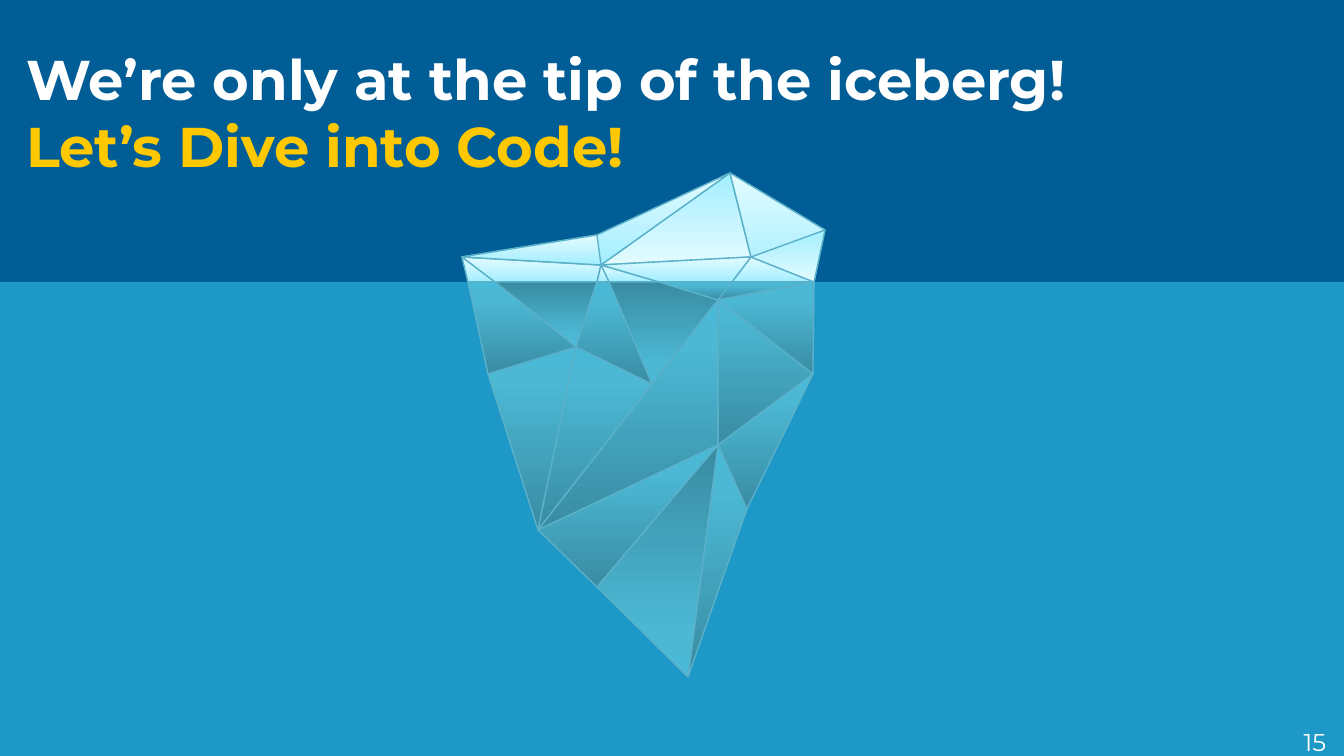
from lxml import etree
from pptx import Presentation
from pptx import util as u
from pptx.dml.color import RGBColor
from pptx.enum import shapes, text
from pptx.oxml import ns

SCALE = 914400 / 134.4  # EMU per px
WIDTH, HEIGHT = 1344, 756
WATERLINE = 282
INSET = 13

WHITE = RGBColor(0xFF, 0xFF, 0xFF)
YELLOW = RGBColor(0xFF, 0xC8, 0x00)
SKY = RGBColor(0x00, 0x5D, 0x95)
WATER = RGBColor(0x1D, 0x98, 0xC7)
EDGE = RGBColor(0x5A, 0xB1, 0xC9)
ICE = [(0, RGBColor(0xA1, 0xEF, 0xFF)), (35, RGBColor(0xBB, 0xF2, 0xFF)),
       (100, RGBColor(0xE3, 0xFC, 0xFF))]
DEEP = [(0, RGBColor(0x39, 0x8B, 0xA2)), (80, RGBColor(0x4C, 0xB8, 0xD4)),
        (100, RGBColor(0x4A, 0xB9, 0xD8))]
DOWN, UP = 90, 270  # gradient directions, clockwise degrees

CORNERS = {
    "peak": (730, 173), "shoulder": (825, 230), "tip": (462, 257),
    "ledge": (597, 235), "ridge": (601, 265), "saddle": (751, 257),
    "w1": (468, WATERLINE), "w2": (495, WATERLINE), "w3": (597, WATERLINE),
    "w4": (609, WATERLINE), "w5": (659, WATERLINE), "w6": (732, WATERLINE),
    "w7": (814, WATERLINE),
    "front": (718, 300), "west": (576, 347), "left": (488, 374),
    "middle": (652, 384), "right": (813, 374), "heart": (718, 445),
    "hip": (538, 530), "flank": (747, 509), "knee": (597, 587),
    "bottom": (688, 677),
}

# Facets from back to front: colours, gradient direction, corners
FACETS = [
    (ICE, UP, "w7 tip w2"),
    (ICE, DOWN, "peak ridge saddle"),
    (ICE, UP, "peak shoulder w7 saddle"),
    (ICE, UP, "tip w2 w1"),
    (ICE, UP, "ridge w3 w2 tip"),
    (ICE, UP, "peak ridge tip ledge"),
    (ICE, UP, "saddle w7 w6"),
    (ICE, UP, "w4 ridge w5"),
    (ICE, UP, "ledge ridge tip"),
    (ICE, DOWN, "shoulder saddle w7"),
    (ICE, UP, "w4 ridge w3"),
    (DEEP, UP, "w7 right heart front"),
    (DEEP, UP, "west hip left"),
    (DEEP, DOWN, "w3 west w2"),
    (DEEP, UP, "heart flank bottom"),
    (DEEP, UP, "w7 front w6"),
    (DEEP, DOWN, "middle w4 w5 front"),
    (DEEP, UP, "middle west hip"),
    (DEEP, UP, "front hip heart"),
    (DEEP, UP, "w2 west left w1"),
    (DEEP, UP, "w7 front right"),
    (DEEP, UP, "west middle w4 w3"),
    (DEEP, UP, "hip heart knee"),
    (DEEP, DOWN, "knee bottom heart"),
    (DEEP, UP, "right flank heart"),
    (ICE, UP, "ridge saddle w6 w5"),
    (DEEP, UP, "front w6 w5"),
]


def px(length):
    return u.Emu(round(length * SCALE))


class SlideBuilder:
    """Holds the style and the current slide."""

    font_name = "Montserrat"

    def __init__(self, presentation):
        self.slide = presentation.slides.add_slide(presentation.slide_layouts[5])

    def background(self, color):
        fill = self.slide.background.fill
        fill.solid()
        fill.fore_color.rgb = color

    def set_text(self, shape, parts, size, bold, alignment):
        """Fill the shape with one paragraph of (wording, color) parts."""
        frame = shape.text_frame
        frame.word_wrap = True
        frame.auto_size = text.MSO_AUTO_SIZE.NONE
        frame.vertical_anchor = text.MSO_ANCHOR.TOP
        frame.margin_left = frame.margin_right = px(INSET)
        frame.margin_top = frame.margin_bottom = px(INSET)
        paragraph = frame.paragraphs[0]
        paragraph.alignment = alignment
        for wording, color in parts:
            run = paragraph.add_run()
            run.text = wording
            run.font.name = self.font_name
            run.font.size = u.Pt(size)
            run.font.bold = bold
            run.font.color.rgb = color

    def title(self, left, top, width, height, parts):
        shape = self.slide.shapes.title
        shape.left, shape.top = px(left), px(top)
        shape.width, shape.height = px(width), px(height)
        self.set_text(shape, parts, 30, True, text.PP_ALIGN.LEFT)

    def page_number(self, left, top, width, height, wording):
        shape = self.slide.shapes.add_textbox(px(left), px(top), px(width), px(height))
        self.set_text(shape, [(wording, WHITE)], 13, False, text.PP_ALIGN.RIGHT)

    def rectangle(self, left, top, width, height, color):
        shape = self.slide.shapes.add_shape(
            shapes.MSO_SHAPE.RECTANGLE, px(left), px(top), px(width), px(height))
        shape.shadow.inherit = False
        shape.fill.solid()
        shape.fill.fore_color.rgb = color
        shape.line.fill.background()

    def gradient(self, shape, stops, angle):
        """Give the shape a linear gradient with any number of stops."""
        shape.fill.gradient()
        gradient = shape.element.spPr.find(ns.qn("a:gradFill"))
        for child in list(gradient):
            gradient.remove(child)
        stop_list = etree.SubElement(gradient, ns.qn("a:gsLst"))
        for percent, color in stops:
            stop = etree.SubElement(stop_list, ns.qn("a:gs"), pos=str(percent * 1000))
            etree.SubElement(stop, ns.qn("a:srgbClr"), val=str(color))
        etree.SubElement(gradient, ns.qn("a:lin"), ang=str(angle * 60000), scaled="0")

    def iceberg(self, facets):
        group = self.slide.shapes.add_group_shape()
        for stops, angle, names in facets:
            first, *rest = [CORNERS[name] for name in names.split()]
            outline = group.shapes.build_freeform(*first, scale=SCALE)
            outline.add_line_segments(rest, close=True)
            facet = outline.convert_to_shape()
            facet.shadow.inherit = False
            self.gradient(facet, stops, angle)
            facet.line.color.rgb = EDGE
            facet.line.width = u.Pt(0.75)


def main():
    presentation = Presentation()
    presentation.slide_width, presentation.slide_height = px(WIDTH), px(HEIGHT)
    builder = SlideBuilder(presentation)
    builder.background(SKY)
    builder.title(13, 31, 1175, 85, [("We’re only at the tip of the iceberg! ", WHITE),
                                     ("Let’s Dive into Code!", YELLOW)])
    builder.rectangle(0, WATERLINE, WIDTH, HEIGHT - WATERLINE, WATER)
    builder.iceberg(FACETS)
    builder.page_number(1258, 714, 81, 43, "15")
    presentation.save("out.pptx")


if __name__ == "__main__":
    main()
